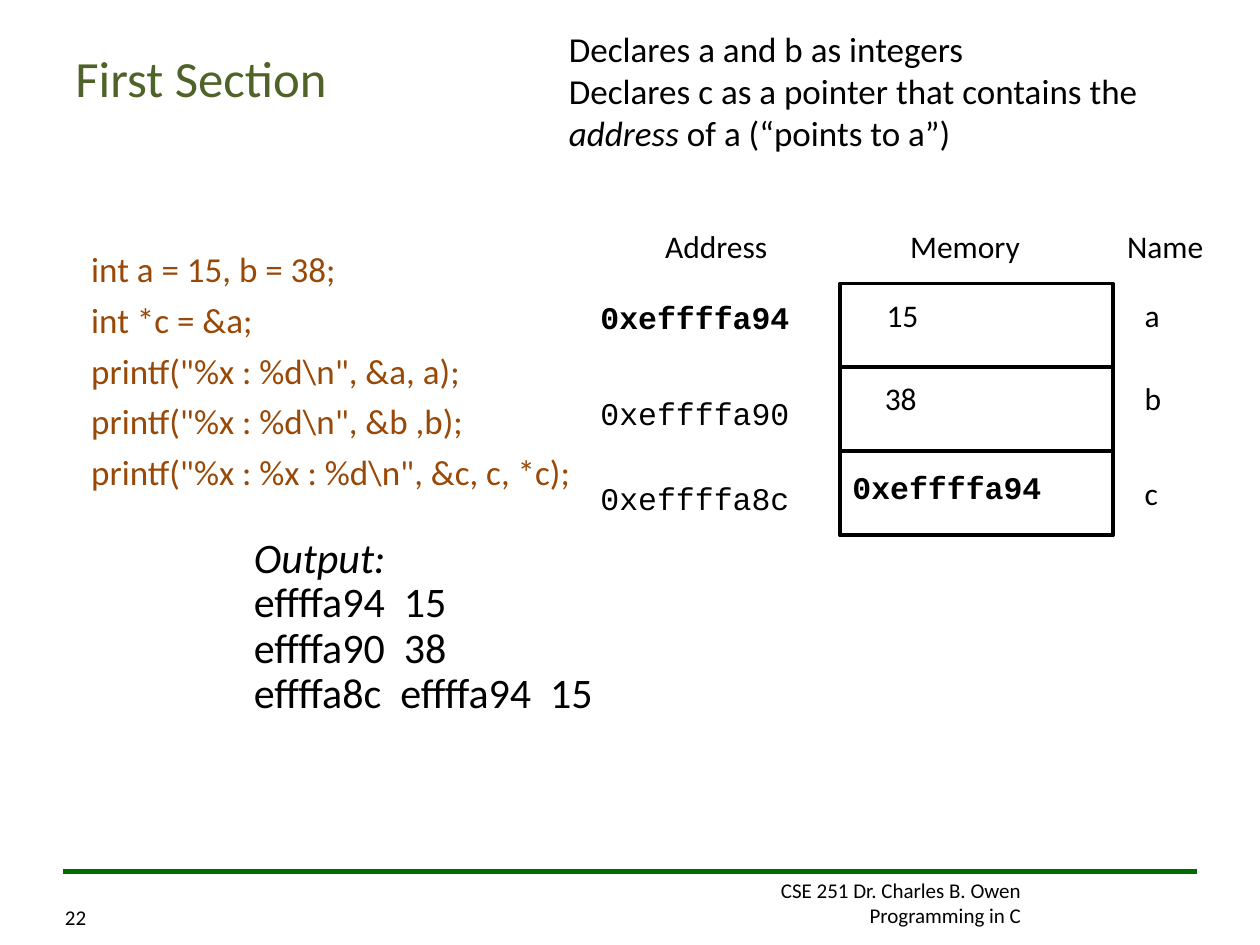
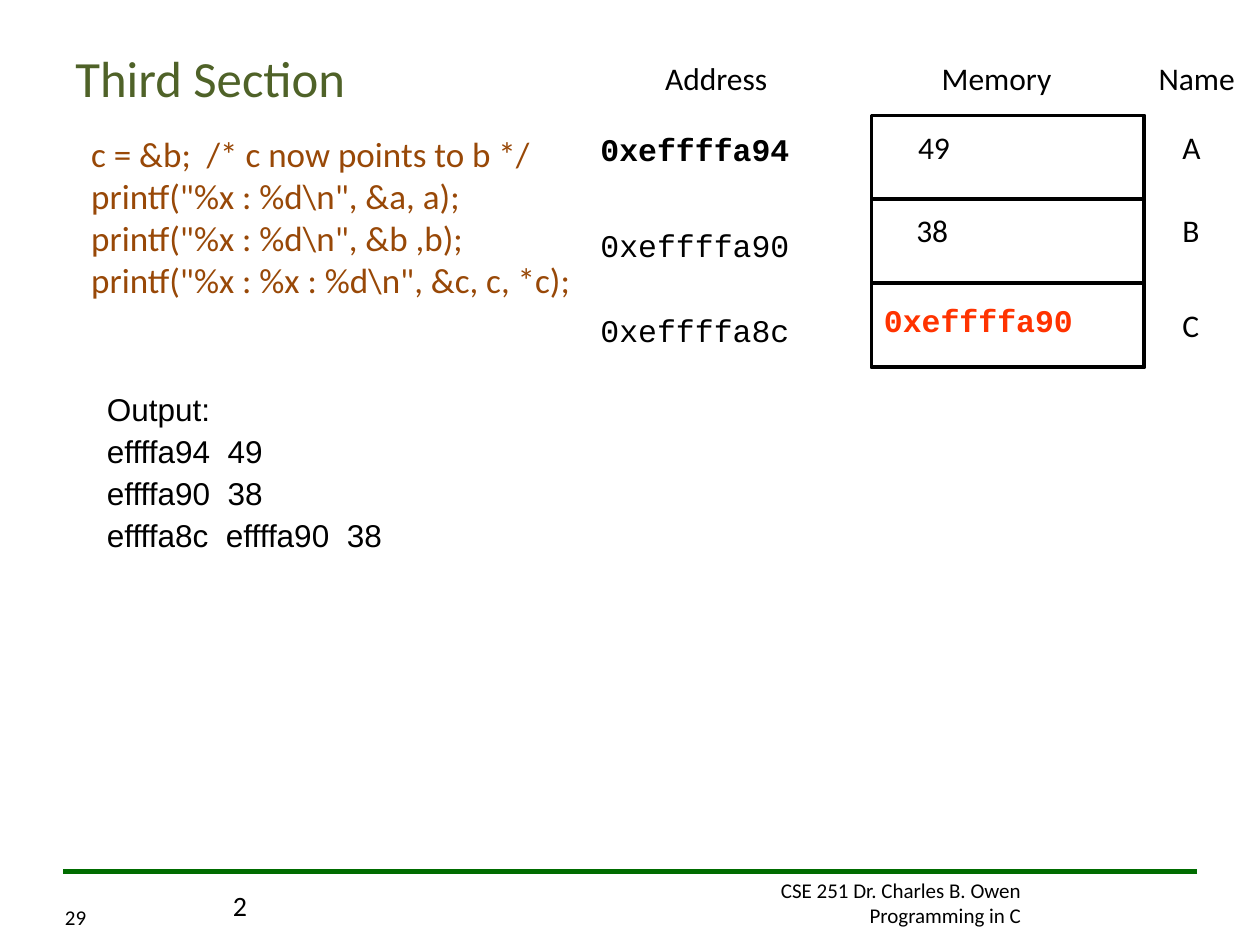
from dataclasses import dataclass, replace

from lxml import etree
from pptx import Presentation
from pptx.dml.color import RGBColor
from pptx.enum.shapes import MSO_CONNECTOR as CONN, MSO_SHAPE as SHAPE
from pptx.enum.text import MSO_ANCHOR as ANCHOR, PP_ALIGN as ALIGN
from pptx.oxml.ns import qn
from pptx.util import Pt

BLACK = RGBColor(0x00, 0x00, 0x00)
GREEN = RGBColor(0x00, 0x6C, 0x00)
OLIVE = RGBColor(0x4F, 0x62, 0x28)
BROWN = RGBColor(0x98, 0x48, 0x07)
RED = RGBColor(0xFF, 0x33, 0x00)


@dataclass(frozen=True)
class Box:
    left: float
    top: float
    width: float
    height: float


@dataclass(frozen=True)
class Style:
    size: float
    color: RGBColor = BLACK
    font: str = "Calibri"
    bold: bool = False
    align: ALIGN = ALIGN.LEFT
    anchor: ANCHOR = ANCHOR.TOP
    space_before: float = 0
    line_spacing: float = 1.0


@dataclass(frozen=True)
class Cell:
    address: str
    value: str
    name: str
    is_pointer: bool = False


@dataclass(frozen=True)
class MemoryMap:
    top: float
    left: float
    name_offset: float
    cells: list[Cell]
    pointer_color: RGBColor = BLACK


@dataclass(frozen=True)
class Section:
    title: str
    number: str
    code: list[str]
    code_box: Box
    code_style: Style
    memory: MemoryMap


TITLE = Style(29, OLIVE, anchor=ANCHOR.MIDDLE)
CODE = Style(20, BROWN)
LABEL = Style(18)
MONO = Style(18, font="Courier New")
MONO_BOLD = replace(MONO, bold=True)
FOOTER = Style(12, align=ALIGN.RIGHT)
NUMBER = Style(12, anchor=ANCHOR.BOTTOM)

# Memory table measures
CELL_W, CELL_H = 156, 48
LABEL_H = 28.8
HEADER_RISE = 36
ADDRESS_LEFT = 336
ADDRESS_DROPS = (5, 11.9, 12)
VALUE_DROPS = (3.4, 3.1, 6.2)
NAME_DROPS = (3.4, 3.1, 9.1)

SECTIONS = [
    Section(
        "First Section", "22",
        ["int a = 15, b = 38;",
         "int *c = &a;",
         'printf("%x : %d\\n", &a, a);',
         'printf("%x : %d\\n", &b ,b);',
         'printf("%x : %x : %d\\n", &c, c, *c);'],
        Box(45, 138, 303, 150), replace(CODE, space_before=5),
        MemoryMap(162, 480, 167, [
            Cell("0xeffffa94", "15", "a"),
            Cell("0xeffffa90", "38", "b"),
            Cell("0xeffffa8c", "0xeffffa94", "c", True)])),
    Section(
        "Third Section", "29",
        ["c = &b;  /* c now points to b */",
         'printf("%x : %d\\n", &a, a);',
         'printf("%x : %d\\n", &b ,b);',
         'printf("%x : %x : %d\\n", &c, c, *c);'],
        Box(45, 72, 350, 104), CODE,
        MemoryMap(66, 498, 170.5, [
            Cell("0xeffffa94", "49", "A"),
            Cell("0xeffffa90", "38", "B"),
            Cell("0xeffffa8c", "0xeffffa90", "C", True)], RED)),
]


def add_text(s, box: Box, lines: list[str], style: Style, italic: str = ""):
    """Place one paragraph per line; the given phrase is set in italics."""
    sp = s.shapes.add_textbox(Pt(box.left), Pt(box.top), Pt(box.width), Pt(box.height))
    tf = sp.text_frame
    tf.word_wrap = True
    tf.vertical_anchor = style.anchor
    for i, line in enumerate(lines):
        p = tf.paragraphs[0] if i == 0 else tf.add_paragraph()
        p.alignment = style.align
        p.space_before = Pt(style.space_before)
        p.line_spacing = style.line_spacing
        for piece in line.partition(italic) if italic else (line,):
            if not piece:
                continue
            r = p.add_run()
            r.text = piece
            f = r.font
            f.name, f.size, f.bold = style.font, Pt(style.size), style.bold
            f.italic = bool(italic) and piece == italic
            f.color.rgb = style.color
    return sp


def add_frame(s, title: str, number: str) -> None:
    """Title, footer rule, course name and slide number."""
    add_text(s, Box(348, 498, 242.6, 36),
             ["CSE 251 Dr. Charles B. Owen", "Programming in C"], FOOTER)
    rule = s.shapes.add_connector(CONN.STRAIGHT, Pt(684), Pt(498), Pt(36), Pt(498))
    rule.line.color.rgb = GREEN
    rule.line.width = Pt(3)
    etree.SubElement(rule.element.spPr, qn("a:effectLst"))
    add_text(s, Box(30, 498, 29, 37), [number], NUMBER)
    add_text(s, Box(36, 21.6, 648, 44.6), [title], TITLE)


def add_memory(s, m: MemoryMap) -> None:
    """Column headings, then one row per memory cell."""
    headings = (("Address", 373), ("Memory", m.left + 33), ("Name", m.left + 157))
    for text, left in headings:
        add_text(s, Box(left, m.top - HEADER_RISE, 80, LABEL_H), [text], LABEL)

    for i, cell in enumerate(m.cells):
        top = m.top + i * CELL_H
        sp = s.shapes.add_shape(SHAPE.RECTANGLE, Pt(m.left), Pt(top),
                                Pt(CELL_W), Pt(CELL_H))
        sp.shadow.inherit = False
        sp.fill.background()
        sp.line.color.rgb = BLACK
        sp.line.width = Pt(2.25)
        add_text(s, Box(ADDRESS_LEFT, top + ADDRESS_DROPS[i], 140, LABEL_H),
                 [cell.address], MONO_BOLD if i == 0 else MONO)
        if cell.is_pointer:
            indent, style = 0, replace(MONO_BOLD, color=m.pointer_color)
        else:
            indent, style = 19.5 - i, LABEL
        add_text(s, Box(m.left + indent, top + VALUE_DROPS[i], 140, LABEL_H),
                 [cell.value], style)
        add_text(s, Box(m.left + m.name_offset, top + NAME_DROPS[i], 40, LABEL_H),
                 [cell.name], LABEL)


def main() -> None:
    prs = Presentation()
    prs.slide_width, prs.slide_height = Pt(720), Pt(540)
    slides = []
    for section in SECTIONS:
        s = prs.slides.add_slide(prs.slide_layouts[6])
        add_frame(s, section.title, section.number)
        add_text(s, section.code_box, section.code, section.code_style)
        add_memory(s, section.memory)
        slides.append(s)
    first, third = slides

    # First section: explanation and output
    add_text(first, Box(318, 12, 372, 79),
             ["Declares a and b as integers",
              "Declares c as a pointer that contains the address of a (“points to a”)"],
             Style(20), italic="address")
    output = add_text(first, Box(138, 300, 210, 114),
                      ["Output:", "effffa94  15", "effffa90  38",
                       "effffa8c  effffa94  15"],
                      Style(24, line_spacing=0.9), italic="Output:")
    output.text_frame.paragraphs[0].line_spacing = 1.0

    # Third section: output and step number
    add_text(third, Box(54, 222, 360, 99),
             ["Output:", "effffa94  49", "effffa90  38", "effffa8c  effffa90  38"],
             Style(18, font="Arial", space_before=4.5, line_spacing=0.9))
    add_text(third, Box(126, 504, 23, 27), ["2"], Style(16))

    prs.save("out.pptx")


if __name__ == "__main__":
    main()
